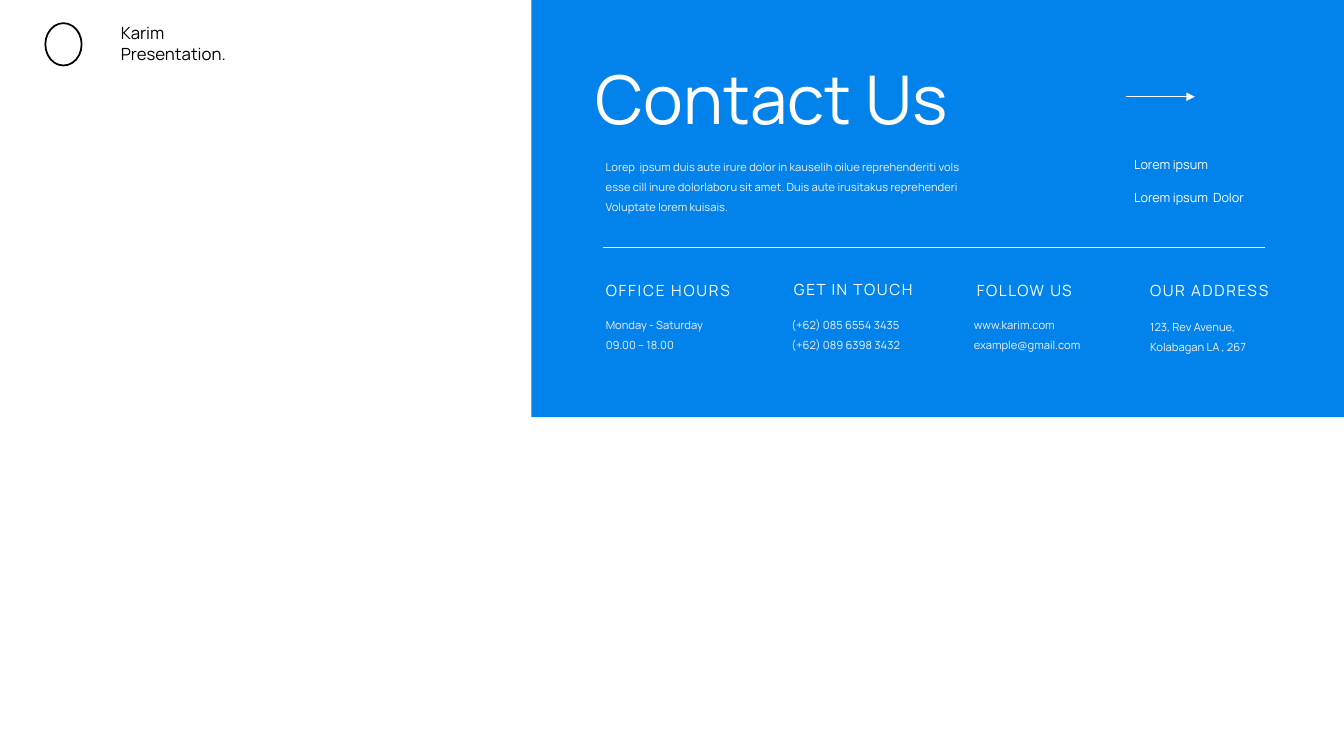
import pptx
import pptx.util
import pptx.dml.color
import pptx.enum.shapes
import pptx.enum.text
import pptx.oxml.ns
import lxml.etree
from dataclasses import dataclass

Inches = pptx.util.Inches
Pt = pptx.util.Pt
RGB = pptx.dml.color.RGBColor.from_string
SHAPE = pptx.enum.shapes.MSO_SHAPE
ALIGN = pptx.enum.text.PP_ALIGN
qn = pptx.oxml.ns.qn


@dataclass(frozen=True)
class Theme:
    font: str = "Manrope"
    blue: str = "0283EB"
    white: str = "FFFFFF"
    pale: str = "F2F2F2"
    black: str = "000000"
    title: int = 48
    brand: int = 12
    heading: int = 11
    link: int = 9
    body: int = 8
    rule: float = 0.5


theme = Theme()
prs = pptx.Presentation()
prs.slide_width, prs.slide_height = Inches(13.33), Inches(7.5)
s = prs.slides.add_slide(prs.slide_layouts[5])


def add_text(text, at, size, color=theme.white, sp=None, wrap=False,
             align=ALIGN.LEFT, leading=None, spc=None):
    box = [Inches(v) for v in at]
    if sp is None:
        sp = s.shapes.add_textbox(*box)
    sp.left, sp.top, sp.width, sp.height = box
    tf = sp.text_frame
    tf.text = text
    tf.word_wrap = wrap
    tf.auto_size = pptx.enum.text.MSO_AUTO_SIZE.SHAPE_TO_FIT_TEXT
    tf.vertical_anchor = pptx.enum.text.MSO_ANCHOR.TOP
    for p in tf.paragraphs:
        p.alignment = align
        if leading:
            p.line_spacing = leading
        for r in p.runs:
            r.font.name = theme.font
            r.font.size = Pt(size)
            r.font.color.rgb = RGB(color)
            if spc:
                r.font._element.set("spc", str(round(spc * 100)))


def add_rule(x1, x2, y, arrow=False):
    line = s.shapes.add_connector(pptx.enum.shapes.MSO_CONNECTOR.STRAIGHT,
                                  Inches(x1), Inches(y), Inches(x2), Inches(y))
    line.line.color.rgb = RGB(theme.white)
    line.line.width = Pt(theme.rule)
    if arrow:
        lxml.etree.SubElement(line.line._get_or_add_ln(), qn("a:tailEnd"), type="triangle")
    lxml.etree.SubElement(line.element.spPr, qn("a:effectLst"))


panel = s.shapes.add_shape(SHAPE.RECTANGLE, Inches(5.27), 0, Inches(8.06), Inches(4.14))
panel.shadow.inherit = False
panel.fill.solid()
panel.fill.fore_color.rgb = RGB(theme.blue)
panel.line.fill.background()
title = s.shapes.title
title.element.getparent().insert(2, panel.element)

add_text("Contact Us", (5.81, 0.52, 3.97, 0.91), theme.title, sp=title)
add_text("Lorep  ipsum duis aute irure dolor in kauselih oilue reprehenderiti vols\n"
         "esse cill inure dolorlaboru sit amet. Duis aute irusitakus reprehenderi\n"
         "Voluptate lorem kuisais.",
         (5.91, 1.47, 4.67, 0.69), theme.body, theme.pale, wrap=True, leading=1.5)

add_rule(11.17, 11.85, 0.96, arrow=True)
add_rule(5.98, 12.55, 2.45)
for text, top, width in (("Lorem ipsum", 1.51, 1.03), ("Lorem ipsum  Dolor", 1.83, 1.42)):
    add_text(text, (11.15, top, width, 0.25), theme.link, wrap=True)

contacts = [
    ("OFFICE HOURS", (5.91, 2.74, 1.52), ALIGN.LEFT, 1.25,
     "Monday - Saturday\n09.00 – 18.00", (5.91, 3.04, 1.28)),
    ("GET IN TOUCH", (7.7, 2.73, 1.45), ALIGN.RIGHT, 1.1,
     "(+62) 085 6554 3435\n(+62) 089 6398 3432", (7.75, 3.04, 1.33)),
    ("FOLLOW US", (9.59, 2.74, 1.21), ALIGN.LEFT, 1.1,
     "www.karim.com\nexample@gmail.com", (9.56, 3.04, 1.42)),
    ("OUR ADDRESS", (11.25, 2.74, 1.43), ALIGN.RIGHT, 1.1,
     "123, Rev Avenue,\nKolabagan LA , 267", (11.31, 3.06, 1.23)),
]
for heading, heading_at, align, spc, details, details_at in contacts:
    add_text(heading, (*heading_at, 0.29), theme.heading, align=align, spc=spc)
    add_text(details, (*details_at, 0.49), theme.body, theme.pale, leading=1.5)

add_text("Karim\nPresentation.", (1.1, 0.18, 1.31, 0.5), theme.brand, theme.black, wrap=True)
emblem = s.shapes.add_shape(SHAPE.OVAL, Inches(0.45), Inches(0.23), Inches(0.36), Inches(0.42))
emblem.shadow.inherit = False
emblem.fill.background()
emblem.line.color.rgb = RGB(theme.black)
emblem.line.width = Pt(1.25)

prs.save("out.pptx")
